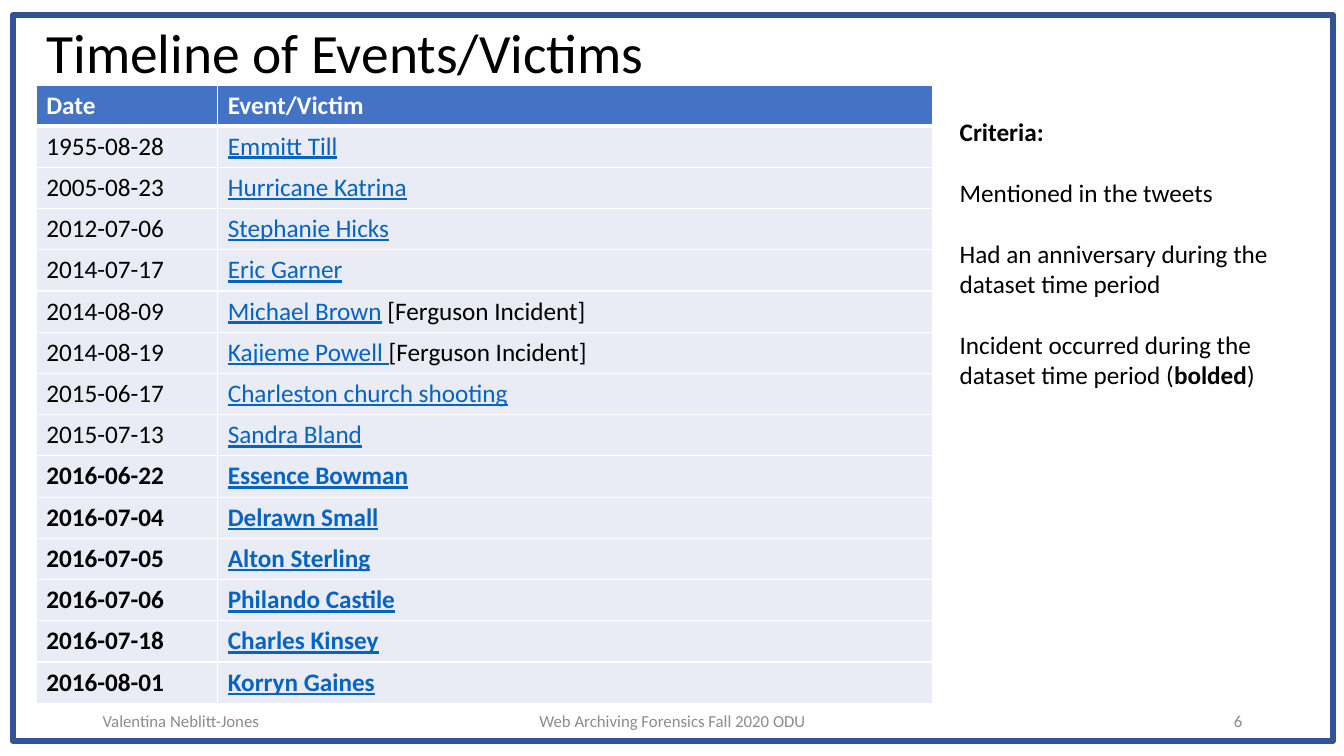
from lxml.etree import SubElement
from pptx import Presentation
from pptx.dml.color import RGBColor
from pptx.enum.shapes import MSO_SHAPE
from pptx.enum.text import MSO_ANCHOR, MSO_AUTO_SIZE, PP_ALIGN
from pptx.oxml.ns import qn
from pptx.util import Inches, Pt

COLORS = {
    "frame": "325491",
    "text": "000000",
    "muted": "8C8C8C",
    "white": "FFFFFF",
    "header": "4472C4",
    "row": "E9EBF5",
    "link": "0563C1",
}
FONT = "Calibri"
FIRST_BOLD_DATE = "2016-06-22"
EVENTS = [
    ("1955-08-28", "Emmitt Till", ""),
    ("2005-08-23", "Hurricane Katrina", ""),
    ("2012-07-06", "Stephanie Hicks", ""),
    ("2014-07-17", "Eric Garner", ""),
    ("2014-08-09", "Michael Brown", " [Ferguson Incident]"),
    ("2014-08-19", "Kajieme Powell ", "[Ferguson Incident]"),
    ("2015-06-17", "Charleston church shooting", ""),
    ("2015-07-13", "Sandra Bland", ""),
    ("2016-06-22", "Essence Bowman", ""),
    ("2016-07-04", "Delrawn Small", ""),
    ("2016-07-05", "Alton Sterling", ""),
    ("2016-07-06", "Philando Castile", ""),
    ("2016-07-18", "Charles Kinsey", ""),
    ("2016-08-01", "Korryn Gaines", ""),
]
CRITERIA = [
    [("Criteria:", True)],
    [("Mentioned in the tweets", False)],
    [("Had an anniversary during the dataset time period", False)],
    [("Incident occurred during the dataset time period (", False), ("bolded", True), (")", False)],
]


def color(name):
    """Return the named palette color."""
    return RGBColor.from_string(COLORS[name])


def style(font, size, color_name, bold=False):
    """Set the face, size, color and weight of a font."""
    font.name, font.size, font.bold = FONT, Pt(size), bold
    font.color.rgb = color(color_name)


def place(shape, box):
    """Move a shape to a box given in inches."""
    shape.left, shape.top, shape.width, shape.height = map(Inches, box)


def add_text_box(slide, box):
    """Add a wrapping text box and return its text frame."""
    text_frame = slide.shapes.add_textbox(*map(Inches, box)).text_frame
    text_frame.word_wrap = True
    return text_frame


def add_frame(slide, box):
    """Draw the outline around the slide."""
    frame = slide.shapes.add_shape(MSO_SHAPE.RECTANGLE, *map(Inches, box))
    frame.shadow.inherit = False
    frame.fill.background()
    frame.line.color.rgb = color("frame")
    frame.line.width = Pt(4.5)


def add_title(slide, box, text):
    """Fill the title placeholder."""
    title = slide.shapes.title
    place(title, box)
    text_frame = title.text_frame
    text_frame.text = text
    text_frame.auto_size = MSO_AUTO_SIZE.NONE
    text_frame.vertical_anchor = MSO_ANCHOR.MIDDLE
    paragraph = text_frame.paragraphs[0]
    paragraph.alignment = PP_ALIGN.LEFT
    paragraph.line_spacing = 0.9
    style(paragraph.font, 39.6, "text")


def set_borders(cell, top, bottom):
    """Give a cell white borders with the given top and bottom widths in points."""
    properties = cell._tc.get_or_add_tcPr()
    for tag, width in (("a:lnL", 1), ("a:lnR", 1), ("a:lnT", top), ("a:lnB", bottom)):
        line = SubElement(properties, qn(tag), w=str(Pt(width)))
        fill = SubElement(line, qn("a:solidFill"))
        SubElement(fill, qn("a:srgbClr"), val=COLORS["white"])


def add_timeline(slide, box):
    """Build the table of dates and events."""
    row_count = len(EVENTS) + 1
    table = slide.shapes.add_table(row_count, 2, *map(Inches, box)).table
    date_width, header_height = 1.8, 0.35
    table.columns[0].width = Inches(date_width)
    table.columns[1].width = Inches(box[2] - date_width)
    for row in table.rows:
        row.height = Inches((box[3] - header_height) / len(EVENTS))
    table.rows[0].height = Inches(header_height)

    for index, (date, event, note) in enumerate([("Date", "Event/Victim", ""), *EVENTS]):
        is_header = index == 0
        bold = is_header or date >= FIRST_BOLD_DATE
        for column, text in enumerate((date, event)):
            cell = table.cell(index, column)
            set_borders(cell, 3 if index == 1 else 1, 3 if is_header else 1)
            cell.fill.solid()
            cell.fill.fore_color.rgb = color("header" if is_header else "row")
            paragraph = cell.text_frame.paragraphs[0]
            style(paragraph.font, 18, "white" if is_header else "text", bold)
            run = paragraph.add_run()
            run.text = text
            is_link = column == 1 and not is_header
            style(run.font, 18, "white" if is_header else "link" if is_link else "text", bold)
            run.font.underline = is_link
        if note:
            run = paragraph.add_run()
            run.text = note
            style(run.font, 18, "text", bold)


def add_criteria(slide, box):
    """Write the selection criteria beside the table."""
    text_frame = add_text_box(slide, box)
    for index, parts in enumerate(CRITERIA):
        paragraph = text_frame.add_paragraph() if index else text_frame.paragraphs[0]
        paragraph.space_before = Pt(22 if index else 0)
        for text, bold in parts:
            run = paragraph.add_run()
            run.text = text
            style(run.font, 18, "text", bold)


def add_footer(slide, box):
    """Write the author, course and page number along the bottom."""
    left, top, width, height = box
    side, middle = 3, 4.5
    items = [
        ("Valentina Neblitt-Jones", left, side, PP_ALIGN.LEFT),
        ("Web Archiving Forensics Fall 2020 ODU", left + (width - middle) / 2, middle, PP_ALIGN.CENTER),
        ("6", left + width - side, side, PP_ALIGN.RIGHT),
    ]
    for text, item_left, item_width, alignment in items:
        text_frame = add_text_box(slide, (item_left, top, item_width, height))
        text_frame.vertical_anchor = MSO_ANCHOR.MIDDLE
        text_frame.text = text
        paragraph = text_frame.paragraphs[0]
        paragraph.alignment = alignment
        style(paragraph.font, 12, "muted")


def main():
    """Build and save the timeline slide."""
    presentation = Presentation()
    presentation.slide_width, presentation.slide_height = Inches(13.33), Inches(7.5)
    slide = presentation.slides.add_slide(presentation.slide_layouts[5])
    add_frame(slide, (0.13, 0.15, 13.09, 7.2))
    add_title(slide, (0.36, 0.2, 11.5, 0.7), "Timeline of Events/Victims")
    add_footer(slide, (0.92, 6.95, 11.5, 0.4))
    add_timeline(slide, (0.36, 0.85, 8.89, 6.08))
    add_criteria(slide, (9.42, 1.1, 3.44, 2.83))
    presentation.save("out.pptx")


if __name__ == "__main__":
    main()
